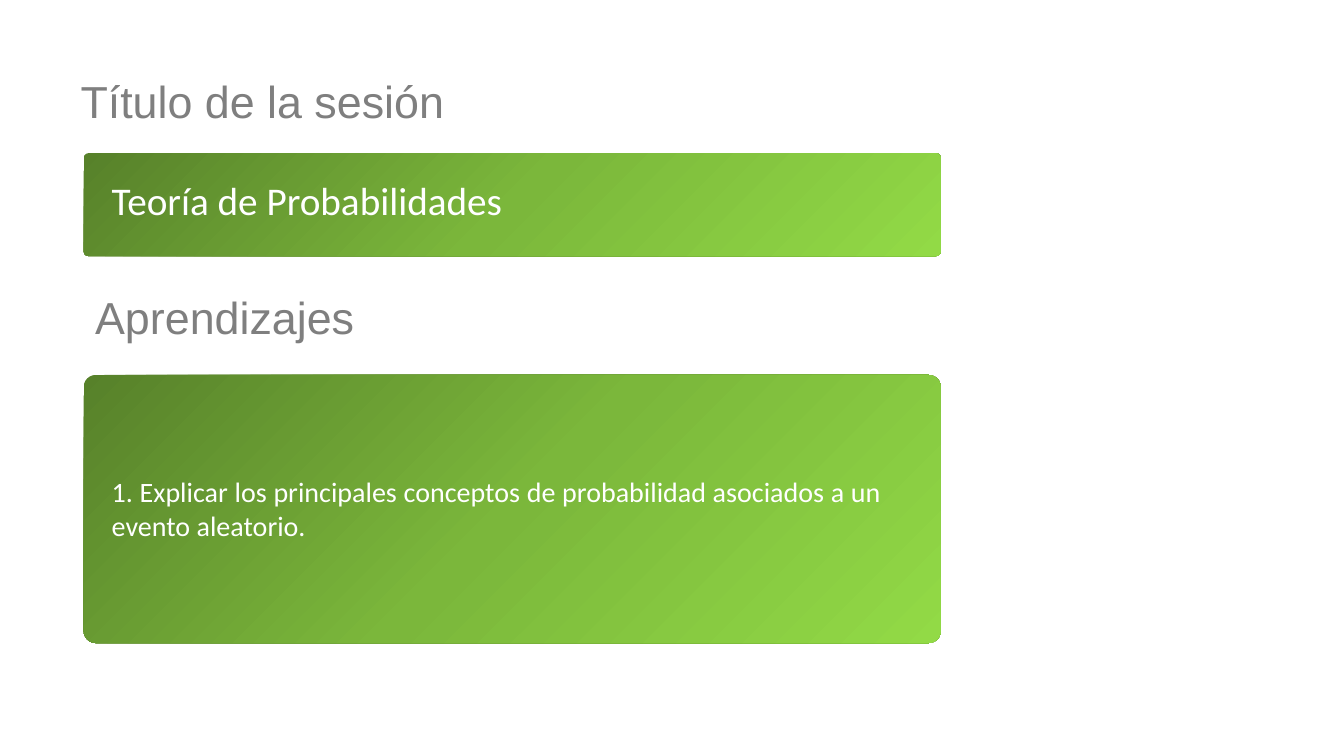
from copy import deepcopy

from pptx import Presentation
from pptx.dml.color import RGBColor
from pptx.enum.shapes import MSO_SHAPE as Shape
from pptx.enum.text import MSO_ANCHOR as Anchor, PP_ALIGN as Align
from pptx.oxml.ns import qn
from pptx.util import Inches, Pt

GREENS = [(0, "57812A"), (0.5, "7BB73B"), (1, "92DA46")]
WHITE, GRAY = "FFFFFF", "7F7F7F"
PANEL_LEFT, PANEL_WIDTH = 0.83, 8.5


def color(hex_code):
    """Turn a hex string into a colour."""
    return RGBColor.from_string(hex_code)


def place(shape, box):
    """Move and size a shape to a box given in inches."""
    shape.left, shape.top, shape.width, shape.height = map(Inches, box)


def write(shape, text, font, size, hex_code, align, anchor=Anchor.MIDDLE, spacing=0.9):
    """Put one formatted paragraph into a shape."""
    frame = shape.text_frame
    frame.word_wrap = True
    frame.vertical_anchor = anchor
    para = frame.paragraphs[0]
    para.text = text
    para.alignment = align
    para.line_spacing = spacing
    para.font.name = font
    para.font.size = Pt(size)
    para.font.color.rgb = color(hex_code)


def add_text(page, box, text, *style, **layout):
    """Add a text box with one paragraph."""
    write(page.shapes.add_textbox(*map(Inches, box)), text, *style, **layout)


def add_panel(page, box):
    """Add a rounded panel with a diagonal green gradient."""
    panel = page.shapes.add_shape(Shape.ROUNDED_RECTANGLE, *map(Inches, box))
    panel.adjustments[0] = 0.045
    panel.shadow.inherit = False
    panel.line.fill.background()
    panel.fill.gradient()
    panel.fill.gradient_angle = 315
    stops = panel._element.spPr.find(".//" + qn("a:gsLst"))
    stops.insert(1, deepcopy(stops[0]))
    for stop, (position, hex_code) in zip(panel.fill.gradient_stops, GREENS):
        stop.position = position
        stop.color.rgb = color(hex_code)


def add_session(page, top):
    """Add the slide title and the panel naming the session."""
    title = page.shapes.title
    place(title, (-0.29, top, 5.79, 1.1))
    write(title, "Título de la sesión", "Arial", 32, GRAY, Align.CENTER)
    add_panel(page, (PANEL_LEFT, top + 1.04, PANEL_WIDTH, 1.02))
    add_text(page, (PANEL_LEFT + 0.18, top + 1.12, 7.74, 0.82),
             "Teoría de Probabilidades", "Calibri", 28, WHITE, Align.LEFT)


def add_learning(page, top):
    """Add the learning heading and the panel with its goal."""
    add_text(page, (-0.16, top, 4.78, 1.1),
             "Aprendizajes", "Arial", 32, GRAY, Align.CENTER)
    add_panel(page, (PANEL_LEFT, top + 1.1, PANEL_WIDTH, 2.66))
    add_text(page, (PANEL_LEFT + 0.18, top + 2.04, 7.83, 0.77),
             "1. Explicar los principales conceptos de probabilidad "
             "asociados a un evento aleatorio.",
             "Calibri", 20, WHITE, Align.JUSTIFY, anchor=Anchor.TOP, spacing=1.0)


def main():
    """Build the slide and save the deck."""
    deck = Presentation()
    deck.slide_width, deck.slide_height = Inches(13.33), Inches(7.5)
    page = deck.slides.add_slide(deck.slide_layouts[5])
    add_session(page, 0.48)
    add_learning(page, 2.62)
    deck.save("out.pptx")


if __name__ == "__main__":
    main()
